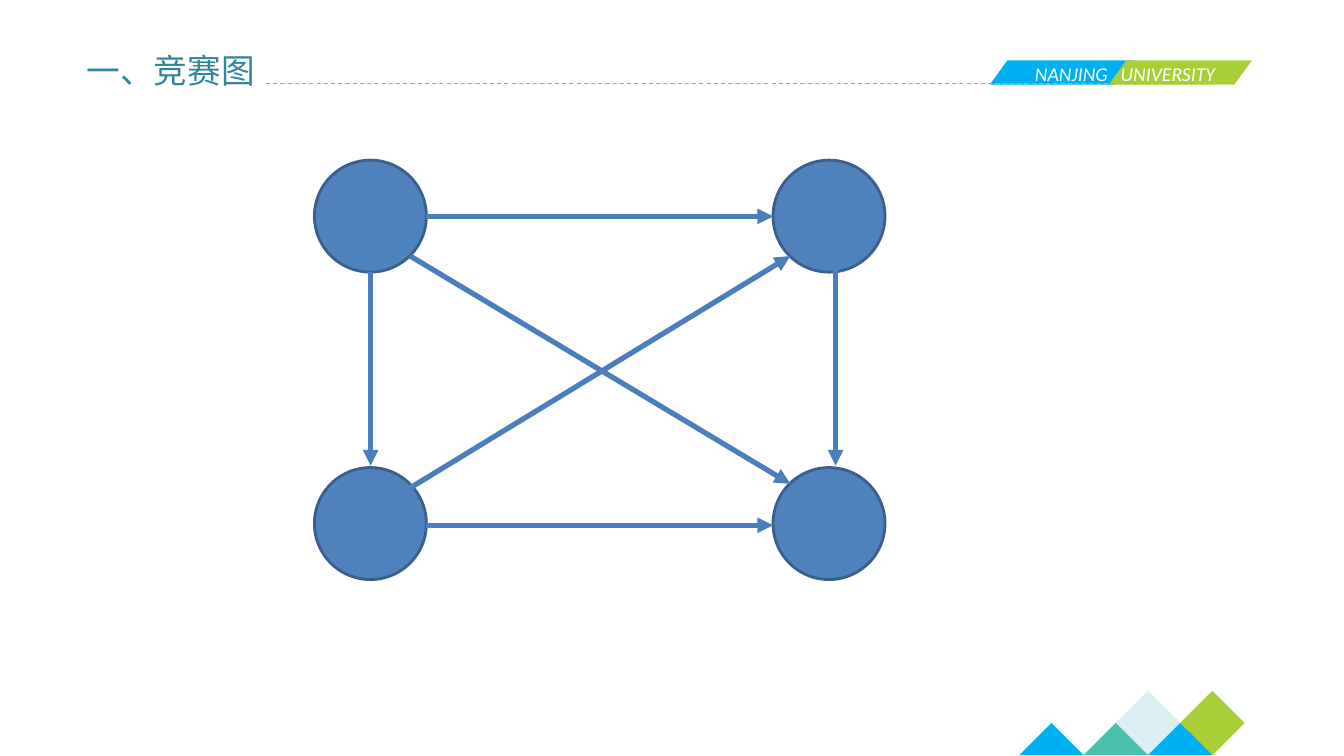
"""Build a slide showing a four-node tournament graph."""
from dataclasses import dataclass
from itertools import product

from lxml import etree
from pptx import Presentation
from pptx.dml.color import RGBColor
from pptx.enum.dml import MSO_LINE
from pptx.enum.shapes import MSO_CONNECTOR, MSO_SHAPE
from pptx.enum.text import MSO_ANCHOR, MSO_AUTO_SIZE, PP_ALIGN
from pptx.oxml.ns import qn
from pptx.util import Pt

DASH = MSO_LINE.DASH
LINE = MSO_CONNECTOR.STRAIGHT
OVAL = MSO_SHAPE.OVAL
SLANT = MSO_SHAPE.PARALLELOGRAM
PEAK = MSO_SHAPE.ISOSCELES_TRIANGLE
GEM = MSO_SHAPE.DIAMOND
MIDDLE = MSO_ANCHOR.MIDDLE
FIXED = MSO_AUTO_SIZE.NONE
LEFT = PP_ALIGN.LEFT

WHITE = RGBColor(0xFF, 0xFF, 0xFF)
SKY = RGBColor(0x00, 0xB0, 0xF0)
LIME = RGBColor(0xA8, 0xCF, 0x38)
PALE = RGBColor(0xDB, 0xEE, 0xF4)
MINT = RGBColor(0x49, 0xC1, 0xAD)
TEAL = RGBColor(0x31, 0x85, 0x9C)
GRAY = RGBColor(0xA6, 0xA6, 0xA6)
BLUE = RGBColor(0x4F, 0x81, 0xBD)
NAVY = RGBColor(0x3A, 0x5F, 0x8C)
STEEL = RGBColor(0x4B, 0x7E, 0xBC)

HAN = "Noto Sans CJK SC"
STEP = 46
HALF = STEP / 2
BASE = 539.4
NODE = 80


@dataclass
class Block:
    """A filled preset shape."""
    kind: int
    left: float
    top: float
    width: float
    height: float
    fill: RGBColor
    edge: RGBColor | None = None
    slant: float | None = None


@dataclass
class Link:
    """A straight line between two points."""
    start: tuple[float, float]
    end: tuple[float, float]
    color: RGBColor = STEEL
    width: float = 3.75
    arrow: bool = True


TAGS = [Block(SLANT, x, 43.2, 102.2, 17.3, fill, slant=0.726)
        for x, fill in ((707, SKY), (792, LIME))]


def gem(col: float, fill: RGBColor) -> Block:
    """Describe a diamond at a column of the corner pattern."""
    return Block(GEM, 728 + col * STEP, BASE - STEP, STEP, STEP, fill)


def peak(col: float, fill: RGBColor) -> Block:
    """Describe a triangle at a column of the corner pattern."""
    return Block(PEAK, 728 + col * STEP, BASE - HALF, STEP, HALF, fill)


HILLS = [gem(1.5, PALE), gem(2.5, LIME), peak(2, SKY), peak(1, MINT), peak(0, SKY)]
NODES = [Block(OVAL, x, y, NODE, NODE, BLUE, NAVY)
         for x, y in product((224.6, 552.2), (114.4, 334))]
RULE = Link((190, 59.8), (853.9, 59.8), GRAY, 0.75, False)
LINKS = [
    Link((304.6, 154.6), (552.2, 154.6)),
    Link((293, 182.9), (564.5, 345.6)),
    Link((596.9, 193), (596.9, 332.6)),
    Link((264.7, 194.4), (264.7, 332.6)),
    Link((304.6, 375.2), (552.2, 375.2)),
    Link((293, 348.5), (564.5, 182.9)),
]


def style(item: object, looks: dict) -> None:
    """Set each attribute named in the format values."""
    for name, value in looks.items():
        setattr(item, name, value)


def draw_block(shapes, block: Block) -> None:
    """Draw one preset shape."""
    shape = shapes.add_shape(block.kind, Pt(block.left), Pt(block.top),
                             Pt(block.width), Pt(block.height))
    shape.shadow.inherit = False
    shape.fill.solid()
    shape.fill.fore_color.rgb = block.fill
    if block.slant is not None:
        shape.adjustments[0] = block.slant
    if block.edge is None:
        shape.line.fill.background()
    else:
        shape.line.color.rgb = block.edge
        shape.line.width = Pt(2)


def draw_link(shapes, link: Link) -> None:
    """Draw one line, arrowed or dashed."""
    line = shapes.add_connector(LINE, *map(Pt, link.start + link.end))
    line.line.color.rgb = link.color
    line.line.width = Pt(link.width)
    if link.arrow:
        tail = etree.SubElement(line.line._get_or_add_ln(), qn("a:tailEnd"))
        tail.set("type", "triangle")
    else:
        line.line.dash_style = DASH
    etree.SubElement(line._element.spPr, qn("a:effectLst"))


def write(shape, text: str, looks: dict, color: RGBColor) -> None:
    """Put formatted text in a shape."""
    frame = shape.text_frame
    style(frame, {"word_wrap": False, "auto_size": FIXED, "vertical_anchor": MIDDLE})
    para = frame.paragraphs[0]
    para.alignment = LEFT
    run = para.add_run()
    run.text = text
    style(run.font, looks)
    run.font.color.rgb = color


def draw_title(shape) -> None:
    """Place and format the slide title."""
    style(shape, {"left": Pt(54.7), "top": Pt(31.7), "width": Pt(135.4), "height": Pt(36)})
    write(shape, "一、竞赛图", {"size": Pt(24), "name": HAN}, TEAL)
    props = shape.text_frame.paragraphs[0].runs[0].font._element
    etree.SubElement(props, qn("a:ea")).set("typeface", HAN)


def draw_label(shapes) -> None:
    """Write the school name over both tags."""
    box = shapes.add_textbox(Pt(732.2), Pt(40.3), Pt(161.3), Pt(24.5))
    props = box.text_frame.paragraphs[0]._p.get_or_add_pPr()
    tabs = etree.SubElement(props, qn("a:tabLst"))
    stop = etree.SubElement(tabs, qn("a:tab"))
    stop.set("pos", str(Pt(61.2)))
    stop.set("algn", "l")
    write(box, "NANJING\tUNIVERSITY",
          {"size": Pt(14), "name": "Calibri", "italic": True}, WHITE)


def main() -> None:
    """Build and save the deck."""
    deck = Presentation()
    style(deck, {"slide_width": Pt(960), "slide_height": Pt(540)})
    slide = deck.slides.add_slide(deck.slide_layouts[5])
    shapes = slide.shapes
    draw_title(shapes.title)
    for block in TAGS + HILLS:
        draw_block(shapes, block)
    draw_label(shapes)
    draw_link(shapes, RULE)
    for node in NODES:
        draw_block(shapes, node)
    for link in LINKS:
        draw_link(shapes, link)
    deck.save("out.pptx")


if __name__ == "__main__":
    main()
